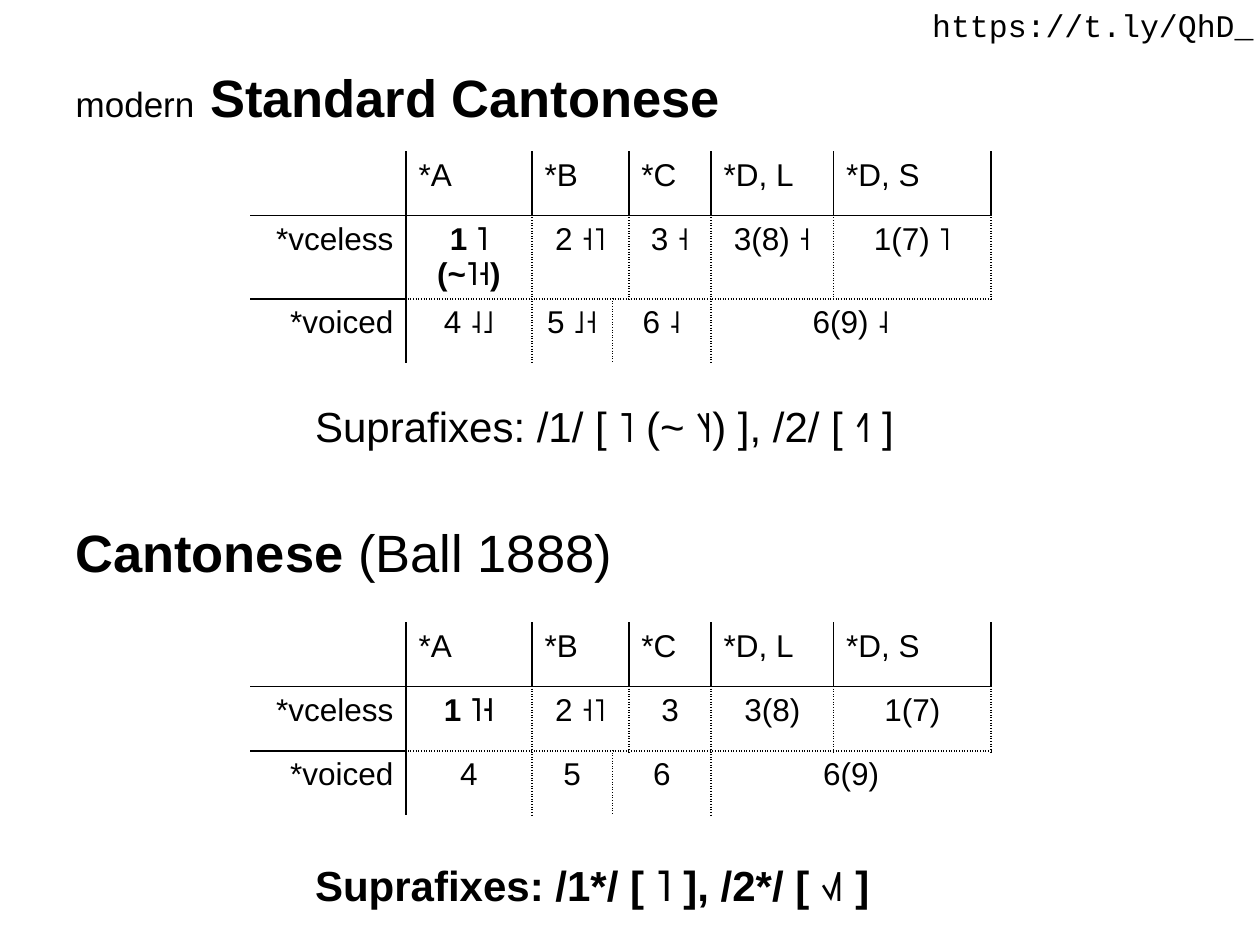
from lxml.etree import SubElement as Sub
from pptx import Presentation
from pptx.dml.color import RGBColor as RGB
from pptx.enum.text import MSO_ANCHOR as Anchor, MSO_AUTO_SIZE as Auto, PP_ALIGN as Align
from pptx.oxml.ns import qn
from pptx.util import Pt

COLORS = {"ink": "000000"}
COLS = [89, 72, 46, 9.4, 47, 70, 90]
ROW = 36.7
HEAD = [("", 1), ("*A", 1), ("*B", 2), ("*C", 1), ("*D, L", 1), ("*D, S", 1)]
SPANS = [[1, 1, 2, 1, 1, 1], [1, 1, 1, 2, 2]]
MODERN = [
    ["*vceless", "1 ˥ (~˥˧)", "2 ˧˥", "3 ˧", "3(8) ˧", "1(7) ˥"],
    ["*voiced", "4 ˨˩", "5 ˩˧", "6 ˨", "6(9) ˨"],
]
BALL = [
    ["*vceless", "1 ˥˧", "2 ˧˥", "3", "3(8)", "1(7)"],
    ["*voiced", "4", "5", "6", "6(9)"],
]


def style(run, size, bold=False, name="Arial"):
    font = run.font
    font.name, font.size, font.bold = name, Pt(size), bold
    font.color.rgb = RGB.from_string(COLORS["ink"])


def fill_text(shape, runs, top=3.6, wrap=True, name="Arial"):
    frame = shape.text_frame
    frame.word_wrap = wrap
    frame.auto_size = Auto.NONE
    frame.vertical_anchor = Anchor.TOP
    frame.margin_top = Pt(top)
    para = frame.paragraphs[0]
    para.alignment = Align.LEFT
    for text, size, bold in runs:
        run = para.add_run()
        run.text = text
        style(run, size, bold, name)


def add_text(slide, box, runs, **opts):
    shape = slide.shapes.add_textbox(*map(Pt, box))
    fill_text(shape, runs, **opts)


def add_title(slide, box, runs, **opts):
    title = slide.shapes.title
    title.left, title.top, title.width, title.height = map(Pt, box)
    fill_text(title, runs, **opts)


def right_line(row, col):
    if col < 0 or (row == 2 and col == len(COLS) - 1):
        return None
    return "solid" if row == 0 or col == 0 else "sysDot"


def low_line(row, col):
    if row not in (0, 1):
        return None
    return "solid" if row == 0 or col == 0 else "sysDot"


def set_lines(cell, row, col, end):
    dashes = {
        "a:lnL": right_line(row, col - 1),
        "a:lnR": right_line(row, end),
        "a:lnT": low_line(row - 1, col),
        "a:lnB": low_line(row, col),
    }
    props = cell._tc.get_or_add_tcPr()
    for tag, dash in dashes.items():
        line = Sub(props, qn(tag), w=str(Pt(1)))
        if dash is None:
            Sub(line, qn("a:noFill"))
            continue
        fill = Sub(line, qn("a:solidFill"))
        Sub(fill, qn("a:srgbClr"), val=COLORS["ink"])
        Sub(line, qn("a:prstDash"), val=dash)


def set_cell(table, row, col, span, text):
    cell = table.cell(row, col)
    end = col + span - 1
    if span > 1:
        cell.merge(table.cell(row, end))
    set_lines(cell, row, col, end)
    cell.fill.background()
    cell.text_frame.text = text
    para = cell.text_frame.paragraphs[0]
    para.font.size = Pt(18)
    if row:
        para.alignment = Align.CENTER if col else Align.RIGHT
    for run in para.runs:
        style(run, 18, row == 1 and col == 1)


def add_tones(slide, top, body):
    frame = slide.shapes.add_table(3, len(COLS), Pt(143), Pt(top), Pt(sum(COLS)), Pt(3 * ROW))
    table = frame.table
    table.first_row = table.horz_banding = False
    for col, width in zip(table.columns, COLS):
        col.width = Pt(width)
    for row in table.rows:
        row.height = Pt(ROW)
    rows = [HEAD] + [list(zip(*pair)) for pair in zip(body, SPANS)]
    for r, cells in enumerate(rows):
        col = 0
        for text, span in cells:
            set_cell(table, r, col, span, text)
            col += span


def main():
    prs = Presentation()
    prs.slide_width, prs.slide_height = Pt(720), Pt(540)
    slide = prs.slides.add_slide(prs.slide_layouts[5])
    add_title(slide, (36, 28, 648, 66),
              [("modern", 20, False), (" ", 32, False), ("Standard Cantonese", 30, True)], top=7)
    add_text(slide, (36, 290, 648, 66),
             [("Cantonese", 30, True), (" (Ball 1888)", 30, False)], top=7)
    add_text(slide, (173, 204, 348, 49),
             [("Suprafixes: /1/ [ ˥ (~ ˥˧) ], /2/ [ ˧˥ ]", 24, False)], top=25, wrap=False)
    add_tones(slide, 86.5, MODERN)
    add_text(slide, (173, 466, 335, 49),
             [("Suprafixes: /1*/ [ ˥ ], /2*/ [ ˧˩˥ ]", 24, True)], top=25, wrap=False)
    add_tones(slide, 355.7, BALL)
    add_text(slide, (525.6, 0, 200, 29),
             [("https://t.ly/QhD_", 18, False)], wrap=False, name="Courier New")
    prs.save("out.pptx")


if __name__ == "__main__":
    main()
